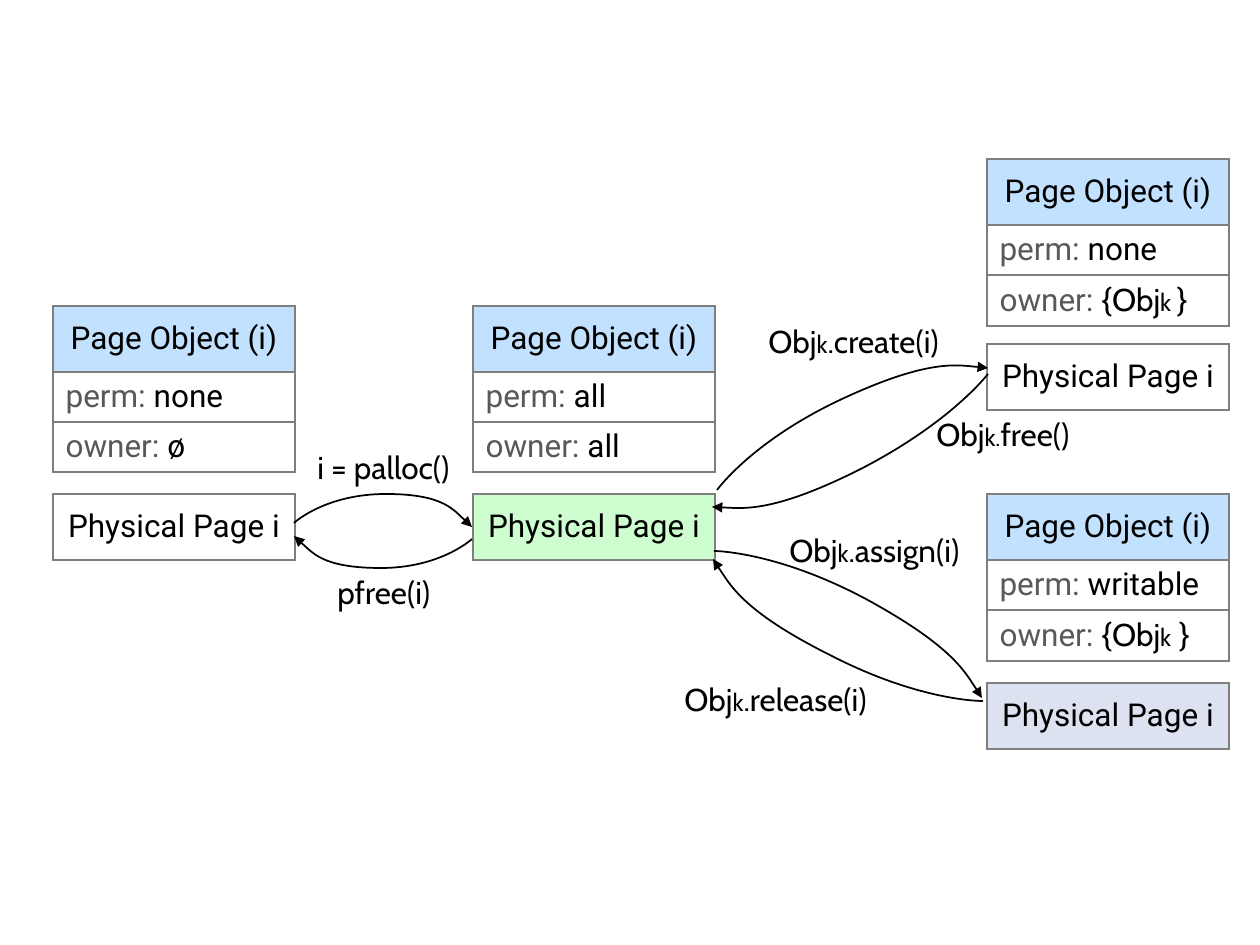
from lxml.etree import SubElement
from pptx import Presentation
from pptx.dml.color import RGBColor
from pptx.enum.text import MSO_ANCHOR, MSO_AUTO_SIZE, PP_ALIGN
from pptx.oxml import parse_xml
from pptx.oxml.ns import nsdecls, qn
from pptx.util import Emu, Pt

SCALE = 914400 // 126
BLACK = RGBColor(0, 0, 0)
GRAY = RGBColor(0x59, 0x59, 0x59)
EDGE = RGBColor(0x7F, 0x7F, 0x7F)
BLUE = RGBColor(0xC1, 0xE1, 0xFE)
GREEN = RGBColor(0xCE, 0xFE, 0xD0)
LILAC = RGBColor(0xDD, 0xE2, 0xF0)
WHITE = RGBColor(0xFF, 0xFF, 0xFF)

WIDTH = 242
HEAD = 66
ROW = 50


def px(num):
    return Emu(num * SCALE)


def part(text, face="Roboto", size=18, color=BLACK):
    return text, face, size, color


def write(para, parts):
    for text, face, size, color in parts:
        run = para.add_run()
        run.text = text
        font = para.font if len(parts) == 1 else run.font
        font.name = face
        font.size = Pt(size)
        font.color.rgb = color


def border(cell):
    props = cell._tc.get_or_add_tcPr()
    for spot, side in enumerate(("lnL", "lnR", "lnT", "lnB")):
        props.insert(spot, parse_xml(
            f'<a:{side} {nsdecls("a")} w="12700"><a:solidFill>'
            f'<a:srgbClr val="{EDGE}"/></a:solidFill></a:{side}>'))


def grid(slide, left, top, rows):
    highs = [HEAD] + [ROW] * (len(rows) - 1)
    frame = slide.shapes.add_table(
        len(rows), 1, px(left), px(top), px(WIDTH), px(sum(highs)))
    table = frame.table
    table.first_row = False
    table.horz_banding = False
    for index, (parts, fill) in enumerate(rows):
        table.rows[index].height = px(highs[index])
        cell = table.cell(index, 0)
        para = cell.text_frame.paragraphs[0]
        write(para, parts)
        if index == 0:
            para.alignment = PP_ALIGN.CENTER
        cell.vertical_anchor = MSO_ANCHOR.TOP if index == 2 else MSO_ANCHOR.MIDDLE
        if fill is None:
            cell.fill.background()
        else:
            cell.fill.solid()
            cell.fill.fore_color.rgb = fill
        border(cell)


def state(slide, left, top, low, perm, owner, fill):
    grid(slide, left, top, [
        ([part("Page Object (i)")], BLUE),
        ([part("perm: ", color=GRAY), part(perm)], None),
        ([part("owner: ", color=GRAY)] + owner, None)])
    grid(slide, left, low, [([part("Physical Page i")], fill)])


def label(slide, left, top, width, parts):
    box = slide.shapes.add_textbox(px(left), px(top), px(width), px(50))
    frame = box.text_frame
    frame.word_wrap = True
    frame.auto_size = MSO_AUTO_SIZE.SHAPE_TO_FIT_TEXT
    write(frame.paragraphs[0], parts)


def call(sub, rest):
    return [part("Obj", "Cabin"), part(sub, "Cabin", 14), part(rest, "Cabin")]


def owned(sub, end):
    return [part("{"), part("Obj", "Cabin"), part(sub, "Cabin", 14), part(end)]


def curve(slide, start, bend, mid, turn, end):
    pen = slide.shapes.build_freeform(*start, scale=SCALE)
    pen.add_line_segments([start, bend, mid, turn, end, end], close=False)
    shape = pen.convert_to_shape()
    shape.shadow.inherit = False
    shape.fill.background()
    shape.line.color.rgb = BLACK
    shape.line.width = Pt(1)
    trail = next(shape._element.iter(qn("a:path")))
    steps = trail.findall(qn("a:lnTo"))
    for first in (0, 3):
        cubic = SubElement(trail, qn("a:cubicBezTo"))
        for step in steps[first:first + 3]:
            cubic.append(step[0])
            trail.remove(step)
    line = shape.line._get_or_add_ln()
    SubElement(line, qn("a:tailEnd"), type="triangle")


def main():
    deck = Presentation()
    deck.slide_width = px(1260)
    deck.slide_height = px(945)
    slide = deck.slides.add_slide(deck.slide_layouts[6])

    for item in (
        (53, 306, 494, "none", [part("ø")], WHITE),
        (473, 306, 494, "all", [part("all")], GREEN),
        (987, 159, 344, "none", owned("k ", "}"), WHITE),
        (987, 494, 683, "writable", owned("k", " }"), LILAC),
    ):
        state(slide, *item)

    for points in (
        ((294, 523), (325, 494), (386, 494), (445, 494), (472, 527)),
        ((472, 539), (441, 568), (381, 568), (321, 568), (294, 536)),
        ((717, 490), (752, 441), (842, 399), (932, 357), (988, 368)),
        ((988, 374), (951, 423), (859, 470), (769, 515), (712, 507)),
        ((983, 701), (921, 702), (830, 655), (740, 610), (713, 559)),
        ((714, 551), (776, 551), (866, 599), (956, 648), (982, 698)),
    ):
        curve(slide, *points)

    for item in (
        (305, 442, 179, [part("i = palloc()", "Cabin")]),
        (325, 567, 136, [part("pfree(i)", "Cabin")]),
        (756, 316, 220, call("k", ".create(i)")),
        (924, 409, 262, call("k.", "free()")),
        (777, 525, 262, call("k", ".assign(i)")),
        (672, 674, 262, call("k", ".release(i)")),
    ):
        label(slide, *item)

    deck.save("out.pptx")


main()
